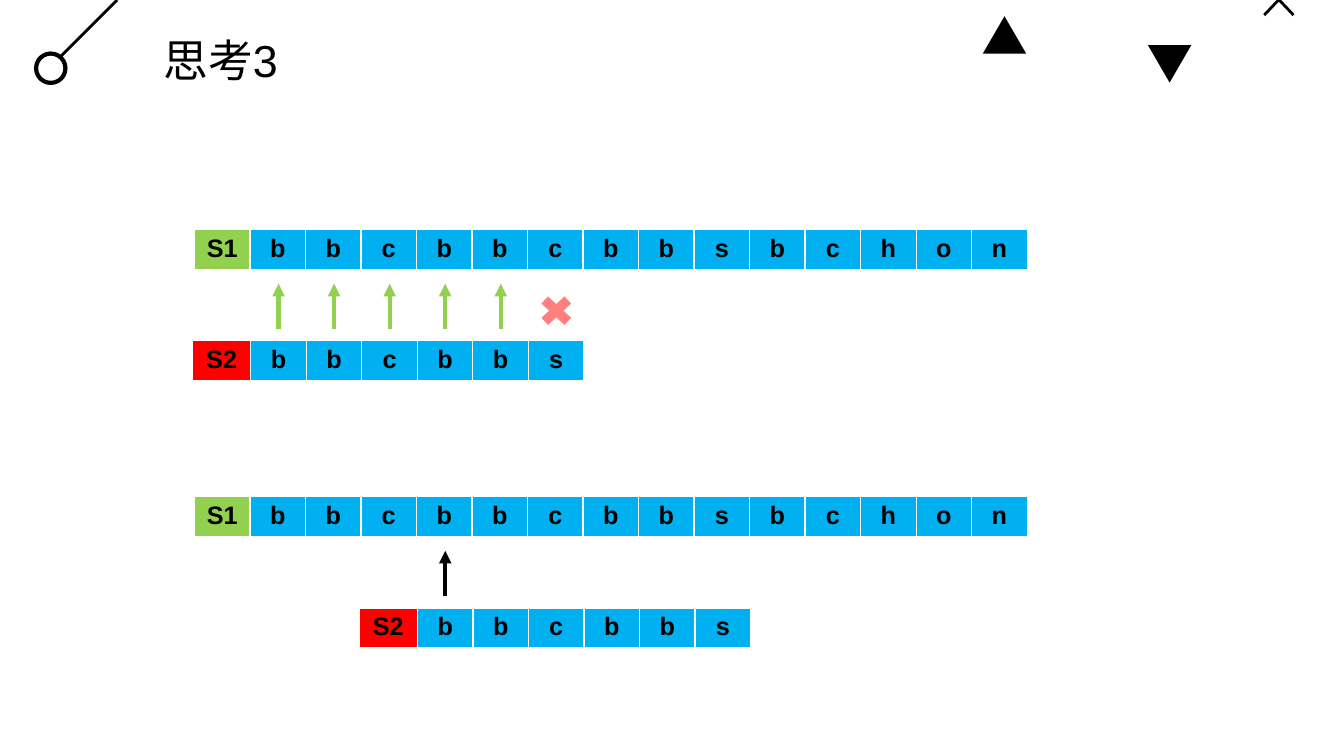
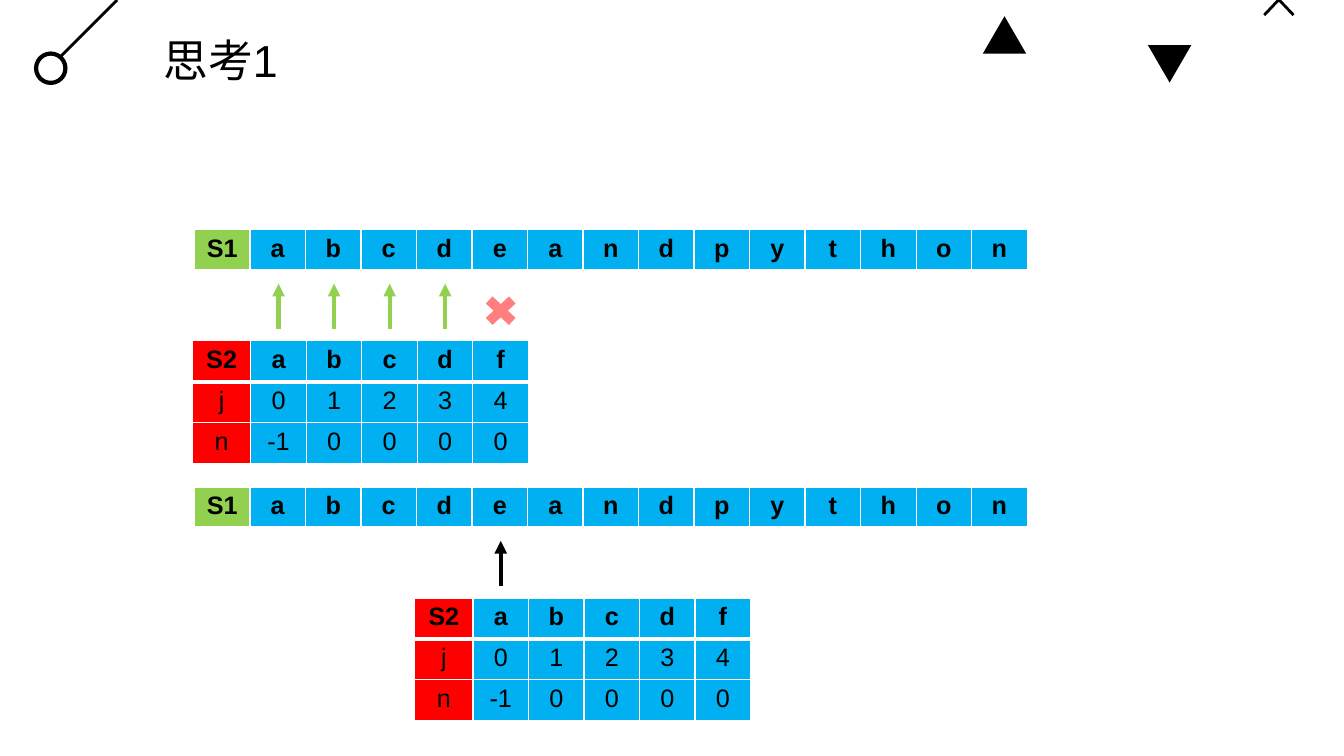
from itertools import takewhile

from lxml import etree
from pptx import Presentation
from pptx import util as u
from pptx.dml.color import RGBColor
from pptx.enum import shapes, text
from pptx.oxml.ns import qn

COLORS = {
    "ink": "000000",
    "paper": "FFFFFF",
    "source": "92D050",
    "pattern": "FF0000",
    "letter": "00B0F0",
}
FONT = "Arial"
CELL, ROW, PATTERN_LABEL = 1.4, 1.03, 1.47
SHAPE = shapes.MSO_SHAPE


def color(name):
    """Return the palette colour with this name."""
    return RGBColor.from_string(COLORS[name])


def format_text(para, size, bold, align):
    """Align a paragraph and format its runs."""
    para.alignment = align
    for span in para.runs:
        span.font.name = FONT
        span.font.size = u.Pt(size)
        span.font.bold = bold
        span.font.color.rgb = color("ink")


def add_figure(page, kind, box, fill, outline=None):
    """Add a flat preset shape in a box given in centimetres."""
    figure = page.shapes.add_shape(kind, *map(u.Cm, box))
    figure.shadow.inherit = False
    figure.fill.solid()
    figure.fill.fore_color.rgb = color(fill)
    if outline:
        figure.line.color.rgb = color("ink")
        figure.line.width = u.Pt(outline)
    else:
        figure.line.fill.background()
    return figure


def add_line(page, start, end, name, width, arrow=False):
    """Add a straight line, with an arrowhead at its end if wanted."""
    line = page.shapes.add_connector(
        shapes.MSO_CONNECTOR.STRAIGHT, *map(u.Cm, start + end))
    line.line.color.rgb = color(name)
    line.line.width = u.Pt(width)
    properties = line.element.spPr
    if arrow:
        stroke = properties.find(qn("a:ln"))
        etree.SubElement(stroke, qn("a:tailEnd"), type="triangle")
    etree.SubElement(properties, qn("a:effectLst"))
    return line


def decorate_layout(layout, page):
    """Draw the shared ornaments and move them from the page to its layout."""
    stick = add_line(page, (1.45, 1.5), (2.95, 0), "ink", 2)
    ring = add_figure(page, SHAPE.OVAL, (0.91, 1.35, 0.74, 0.74), "paper", 3)
    up = add_figure(page, SHAPE.ISOSCELES_TRIANGLE, (24.77, 0.41, 1.09, 0.94), "ink")
    down = add_figure(page, SHAPE.ISOSCELES_TRIANGLE, (28.93, 1.14, 1.09, 0.94), "ink")
    down.rotation = 180
    cross = add_figure(page, SHAPE.MATH_MULTIPLY, (31.52, -0.76, 1.42, 1.5), "ink")
    cross.adjustments[0] = 0.05
    for ornament in (stick, ring, up, down, cross):
        layout.shapes.element.append(ornament.element)


def set_title(page, wording):
    """Place and format the title of a page."""
    title = page.shapes.title
    title.left, title.top, title.width, title.height = map(
        u.Cm, (3.86, 0.69, 19.76, 1.63))
    frame = title.text_frame
    frame.text = wording
    frame.vertical_anchor = text.MSO_ANCHOR.MIDDLE
    frame.auto_size = text.MSO_AUTO_SIZE.SHAPE_TO_FIT_TEXT
    format_text(frame.paragraphs[0], 32, False, text.PP_ALIGN.LEFT)


def set_borders(cell, row_index):
    """Give a cell white borders, thick below the first row."""
    properties = cell._tc.get_or_add_tcPr()
    widths = {"L": 1, "R": 1, "T": 3 if row_index == 1 else 1,
              "B": 3 if row_index == 0 else 1}
    for side, width in widths.items():
        border = etree.SubElement(
            properties, qn(f"a:ln{side}"), w=str(u.Pt(width)))
        fill = etree.SubElement(border, qn("a:solidFill"))
        etree.SubElement(fill, qn("a:srgbClr"), val=COLORS["paper"])


def add_strip(page, left, top, rows, label_color, label_width):
    """Add a table whose first column holds labels and the rest letters."""
    columns = len(rows[0])
    width = label_width + CELL * (columns - 1)
    table = page.shapes.add_table(
        len(rows), columns, *map(u.Cm, (left, top, width, ROW * len(rows)))).table
    table.first_row = table.horz_banding = False
    for index, column in enumerate(table.columns):
        column.width = u.Cm(CELL if index else label_width)
    for row_index, row in enumerate(rows):
        for index, wording in enumerate(row):
            cell = table.cell(row_index, index)
            cell.text = wording
            set_borders(cell, row_index)
            cell.fill.solid()
            cell.fill.fore_color.rgb = color("letter" if index else label_color)
            format_text(cell.text_frame.paragraphs[0], 18, row_index == 0,
                        text.PP_ALIGN.CENTER)


def add_mismatch(page, center, top):
    """Add a half-transparent red cross centred on a column."""
    cross = add_figure(page, SHAPE.MATH_MULTIPLY,
                       (center - 0.56, top, 1.12, 1.04), "pattern")
    tint = cross.element.spPr.find(qn("a:solidFill")).find(qn("a:srgbClr"))
    etree.SubElement(tint, qn("a:alpha"), val="50000")


def add_alignment(page, left, top, source, pattern, extra_rows, shift=0):
    """Show the pattern under the source, compared there or moved along it."""
    add_strip(page, left, top, [["S1", *source]], "source", CELL)
    pattern_left = left - 0.05 + shift * CELL
    add_strip(page, pattern_left, top + 2.8, [["S2", *pattern], *extra_rows],
              "pattern", PATTERN_LABEL)

    def center(index):
        """Return the middle of a pattern column."""
        return pattern_left + PATTERN_LABEL + CELL * (index + 0.5)

    matches = len(list(takewhile(lambda pair: pair[0] == pair[1],
                                 zip(source, pattern))))
    for index in range(1 if shift else matches):
        add_line(page, (center(index), top + 2.49), (center(index), top + 1.36),
                 "ink" if shift else "source", 3, arrow=True)
    if not shift:
        add_mismatch(page, center(matches), top + 1.52)


def build_page(page, title, source, pattern, extra_rows, lower_top, shift):
    """Fill a page with the comparison and the moved pattern below it."""
    set_title(page, title)
    add_alignment(page, 4.9, 5.79, source, pattern, extra_rows)
    add_alignment(page, 4.9, lower_top, source, pattern, extra_rows, shift)


def main():
    """Build and save the deck."""
    deck = Presentation()
    deck.slide_width, deck.slide_height = u.Cm(33.87), u.Cm(19.05)
    layout = deck.slide_layouts[5]
    index_rows = [["j", "0", "1", "2", "3", "4"],
                  ["n", "-1", "0", "0", "0", "0"]]
    first, second = (deck.slides.add_slide(layout) for _ in range(2))
    decorate_layout(layout, first)
    build_page(first, "思考3", "bbcbbcbbsbchon", "bbcbbs", [], 12.52, 3)
    build_page(second, "思考1", "abcdeandpython", "abcdf", index_rows, 12.27, 4)
    deck.save("out.pptx")


if __name__ == "__main__":
    main()
